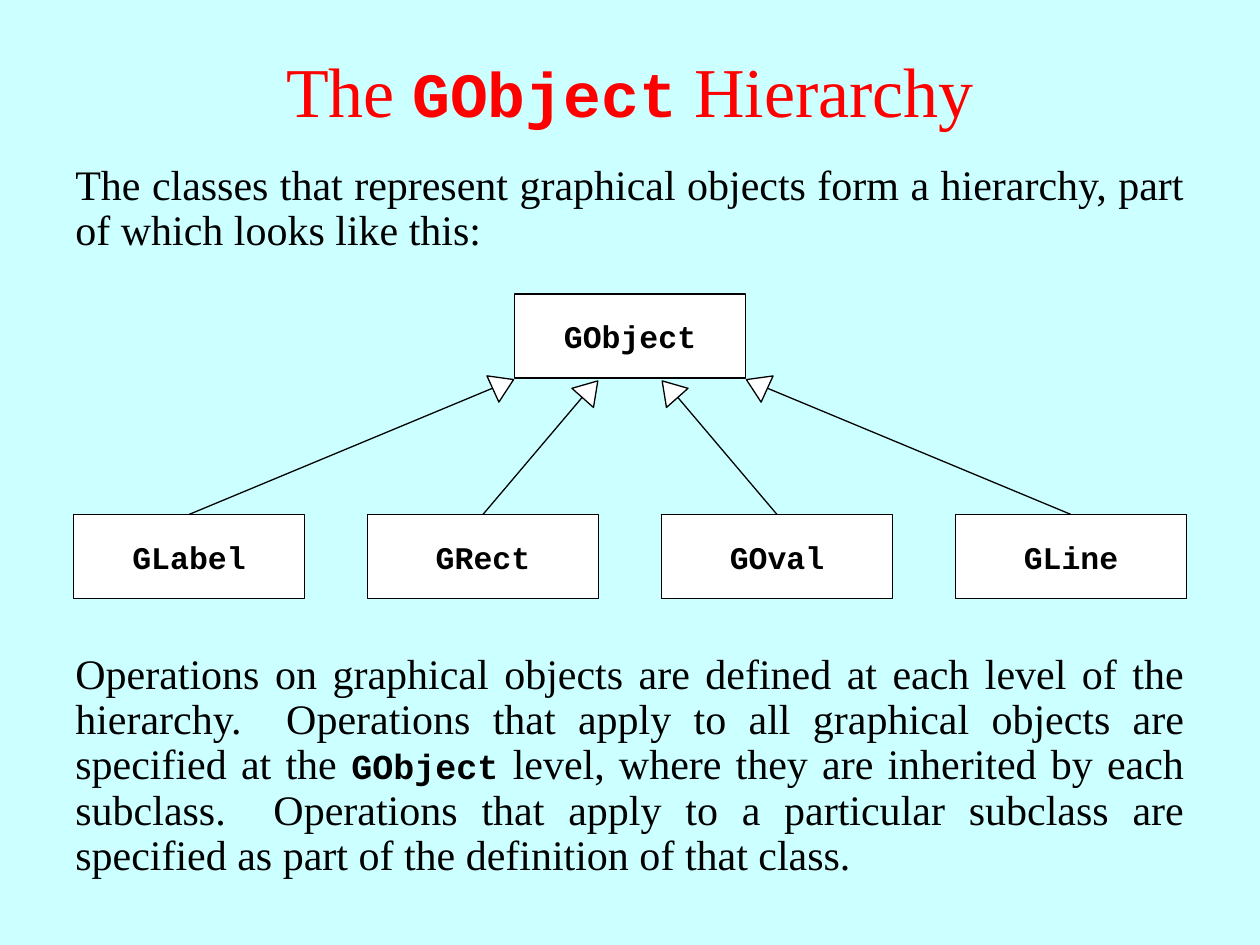
import pptx
import pptx.dml.color
import pptx.enum.shapes
import pptx.enum.text
import pptx.util
from lxml import etree
from pptx.oxml.ns import qn

Pt = pptx.util.Pt
RGB = pptx.dml.color.RGBColor.from_string
ALIGN = pptx.enum.text.PP_ALIGN
ANCHOR = pptx.enum.text.MSO_ANCHOR
SHAPE = pptx.enum.shapes.MSO_SHAPE

# Content: runs are (text, style)
TITLE = [("The ", "title"), ("GObject", "title_code"), (" Hierarchy", "title")]
INTRO = [("The classes that represent graphical objects form a hierarchy, "
          "part of which looks like this:", "body")]
SUMMARY = [
    ("Operations on graphical objects are defined at each level of the "
     "hierarchy.  Operations that apply to all graphical objects are "
     "specified at the ", "body"),
    ("GObject", "body_code"),
    (" level, where they are inherited by each subclass.  Operations that "
     "apply to a particular subclass are specified as part of the "
     "definition of that class.", "body"),
]
ROOT = "GObject"
SUBCLASSES = ["GLabel", "GRect", "GOval", "GLine"]

SERIF, MONO = "Times New Roman", "Courier New"
THEME = {
    "background": "CCFFFF", "box": "FFFFFF", "line": "000000", "line_width": 0.75,
    # style: font, size, bold, colour
    "title": (SERIF, 40, False, "FF0000"),
    "title_code": (MONO, 36, True, "FF0000"),
    "body": (SERIF, 24, False, "000000"),
    "body_code": (MONO, 20, True, "000000"),
    "class": (MONO, 18, True, "000000"),
}

# Layout in points
SLIDE_W, SLIDE_H = 720, 540
BOX_W, BOX_H = 132, 48
ROOT_TOP, ROW_TOP = 168, 294
ROW_LEFT, PITCH = 42, 168
HEAD_W, HEAD_H = 16.5, 13
# Left-hand arrows: line end, arrowhead centre, arrowhead rotation
LEFT_ARROWS = [
    ((290, 218.3), (287.6, 219.6), 65.5),
    ((339, 219.6), (337.3, 222.5), 41.6),
]


def add_runs(p, runs):
    for text, style in runs:
        r = p.add_run()
        r.text = text
        r.font.name, size, r.font.bold, colour = THEME[style]
        r.font.size = Pt(size)
        r.font.color.rgb = RGB(colour)


def add_text(s, left, top, width, height, runs, align, anchor, spacing=1.0):
    tf = s.shapes.add_textbox(Pt(left), Pt(top), Pt(width), Pt(height)).text_frame
    tf.word_wrap = True
    tf.vertical_anchor = anchor
    p = tf.paragraphs[0]
    p.alignment = align
    p.line_spacing = spacing
    add_runs(p, runs)


def add_outlined(s, kind, left, top, width, height):
    sp = s.shapes.add_shape(kind, Pt(left), Pt(top), Pt(width), Pt(height))
    sp.shadow.inherit = False
    sp.fill.solid()
    sp.fill.fore_color.rgb = RGB(THEME["box"])
    sp.line.color.rgb = RGB(THEME["line"])
    sp.line.width = Pt(THEME["line_width"])
    return sp


def add_class(s, left, top, name):
    tf = add_outlined(s, SHAPE.RECTANGLE, left, top, BOX_W, BOX_H).text_frame
    tf.word_wrap = False
    tf.vertical_anchor = ANCHOR.MIDDLE
    p = tf.paragraphs[0]
    p.alignment = ALIGN.CENTER
    add_runs(p, [(name, "class")])


def add_arrow(s, start, end, head, angle):
    line = s.shapes.add_connector(pptx.enum.shapes.MSO_CONNECTOR.STRAIGHT,
                                  *(Pt(v) for v in (*start, *end)))
    line.line.color.rgb = RGB(THEME["line"])
    line.line.width = Pt(THEME["line_width"])
    etree.SubElement(line._element.spPr, qn("a:effectLst"))
    tip = add_outlined(s, SHAPE.ISOSCELES_TRIANGLE, head[0] - HEAD_W / 2,
                       head[1] - HEAD_H / 2, HEAD_W, HEAD_H)
    tip.rotation = angle % 360


def mirror(point):
    return SLIDE_W - point[0], point[1]


def main():
    prs = pptx.Presentation()
    prs.slide_width, prs.slide_height = Pt(SLIDE_W), Pt(SLIDE_H)
    s = prs.slides.add_slide(prs.slide_layouts[6])
    s.background.fill.solid()
    s.background.fill.fore_color.rgb = RGB(THEME["background"])

    # Title and introduction
    add_text(s, 0, 6, SLIDE_W, 90, TITLE, ALIGN.CENTER, ANCHOR.MIDDLE)
    add_text(s, 36, 90, 648, 59, INTRO, ALIGN.JUSTIFY, ANCHOR.TOP, 0.9)

    # Class boxes
    add_class(s, (SLIDE_W - BOX_W) / 2, ROOT_TOP, ROOT)
    for i, name in enumerate(SUBCLASSES):
        add_class(s, ROW_LEFT + i * PITCH, ROW_TOP, name)

    # Inheritance arrows, mirrored about the slide centre
    for i, (end, head, angle) in enumerate(LEFT_ARROWS):
        start = (ROW_LEFT + i * PITCH + BOX_W / 2, ROW_TOP)
        add_arrow(s, start, end, head, angle)
        add_arrow(s, mirror(start), mirror(end), mirror(head), -angle)

    # Summary
    add_text(s, 36, 369.5, 648, 137, SUMMARY, ALIGN.JUSTIFY, ANCHOR.TOP, 0.9)

    prs.save("out.pptx")


if __name__ == "__main__":
    main()
